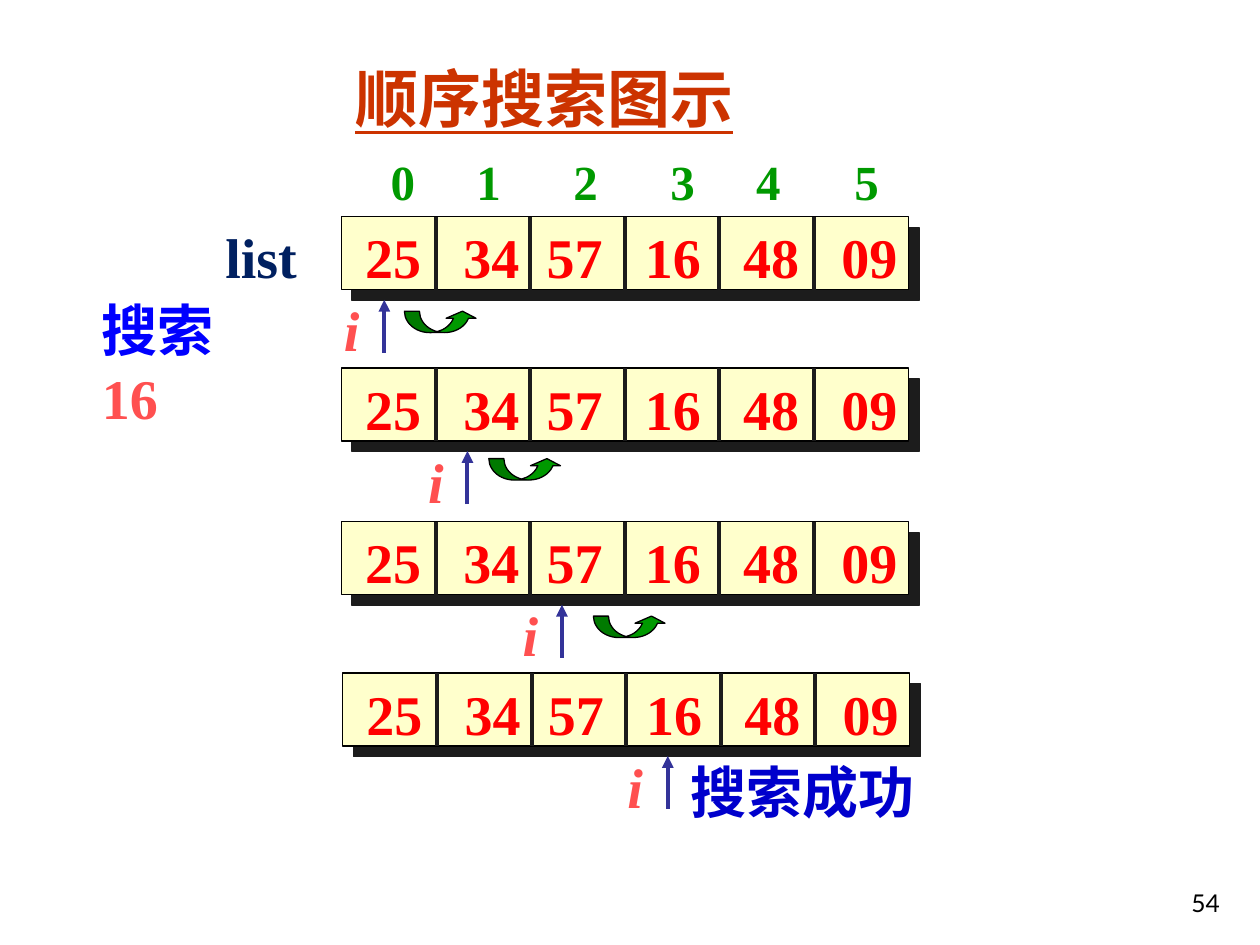
from dataclasses import dataclass

from lxml.etree import SubElement
from pptx import Presentation
from pptx.dml.color import RGBColor
from pptx.enum.shapes import MSO_CONNECTOR as Conn, MSO_SHAPE as Kind
from pptx.enum.text import MSO_ANCHOR as Anchor, PP_ALIGN as Align
from pptx.oxml.ns import qn
from pptx.util import Inches, Pt

SERIF = "Times New Roman"
RED, CORAL, GREEN, INK = "FF0000", "FF5050", "009900", "1C1C1C"
CELL, HIGH, COUNT = 0.75, 0.58, 6
VALUES = "25\t34\t57\t16\t48\t09"
STOPS = (0.78, 1.44, 2.22, 3.0, 3.78)


@dataclass
class Step:
    """One pass of the search: its row, pointer and hop arrow."""
    left: float
    top: float
    mark: float
    point: float
    hop: tuple[float, float] | None = None


STEPS = [
    Step(2.71, 1.72, 2.63, 3.05, (3.21, 2.47)),
    Step(2.71, 2.92, 3.30, 3.71, (3.88, 3.64)),
    Step(2.71, 4.14, 4.05, 4.46, (4.71, 4.89)),
    Step(2.72, 5.34, 4.88, 5.30),
]


def tint(code: str) -> RGBColor:
    """Turn a hex string into a colour."""
    return RGBColor.from_string(code)


def style(run, color: str, size: float, font: str = SERIF, bold: bool = True) -> None:
    """Set the font of one run."""
    run.font.name, run.font.size, run.font.bold = font, Pt(size), bold
    run.font.color.rgb = tint(color)


def label(slide, text: str, left: float, top: float, width: float, *colors: str,
          size: float = 32, wrap: bool = True, stops: tuple = ()):
    """Add a bold text box, one colour per run, with optional tab stops."""
    box = slide.shapes.add_textbox(
        Inches(left), Inches(top), Inches(width), Inches(0.63))
    frame = box.text_frame
    frame.word_wrap = wrap
    para = frame.paragraphs[0]
    para.text = text
    for run, color in zip(para.runs, colors):
        style(run, color, size)
    props = para._p.get_or_add_pPr()
    gap = SubElement(props, qn("a:spcBef"))
    SubElement(gap, qn("a:spcPct"), val="20000")
    if stops:
        tabs = SubElement(props, qn("a:tabLst"))
        for stop in stops:
            SubElement(tabs, qn("a:tab"), pos=str(Inches(stop)), algn="l")
    return box


def line(slide, x: float, start: float, end: float, color: str, arrow: bool = False) -> None:
    """Draw an upright line, with an arrowhead at its end if asked."""
    rule = slide.shapes.add_connector(
        Conn.STRAIGHT, Inches(x), Inches(start), Inches(x), Inches(end))
    rule.line.color.rgb = tint(color)
    rule.line.width = Pt(2.25)
    if arrow:
        SubElement(rule.line._get_or_add_ln(), qn("a:tailEnd"), type="triangle")
    SubElement(rule._element.spPr, qn("a:effectLst"))


def block(slide, kind: Kind, left: float, top: float, width: float, high: float, fill: str):
    """Add a filled shape with a thin black outline."""
    shape = slide.shapes.add_shape(
        kind, Inches(left), Inches(top), Inches(width), Inches(high))
    shape.shadow.inherit = False
    shape.fill.solid()
    shape.fill.fore_color.rgb = tint(fill)
    shape.line.color.rgb = tint("000000")
    shape.line.width = Pt(0.75)
    return shape


def shade(shape) -> None:
    """Give a shape a hard shadow to the lower right."""
    effects = shape._element.spPr.find(qn("a:effectLst"))
    cast = SubElement(effects, qn("a:outerShdw"), dist=str(Pt(8.5)),
                      dir="2700000", algn="ctr", rotWithShape="0")
    SubElement(cast, qn("a:srgbClr"), val=INK)


def draw(slide, step: Step) -> None:
    """Draw one pass of the search."""
    base = step.top + HIGH
    shade(block(slide, Kind.RECTANGLE, step.left, step.top, CELL * COUNT, HIGH, "FFFFCC"))
    label(slide, VALUES, step.left + 0.09, step.top, 4.49, *[RED] * COUNT, stops=STOPS)
    for col in range(1, COUNT):
        line(slide, step.left + CELL * col, step.top, base, INK)
    line(slide, step.point, base + 0.5, base + 0.08, "333399", arrow=True)
    mark = label(slide, "i", step.mark, base, 0.32, CORAL, wrap=False)
    mark.text_frame.paragraphs[0].runs[0].font.italic = True
    if step.hop:
        hop = block(slide, Kind.CURVED_UP_ARROW, *step.hop, 0.58, 0.17, GREEN)
        for spot, value in enumerate((0.7, 1.4, 0.333)):
            hop.adjustments[spot] = value


def main() -> None:
    """Build the slide and save it."""
    deck = Presentation()
    deck.slide_width, deck.slide_height = Inches(10), Inches(7.5)
    slide = deck.slides.add_slide(deck.slide_layouts[5])

    title = slide.shapes.title
    title.left, title.top = Inches(2.72), Inches(0.36)
    title.width, title.height = Inches(4.67), Inches(0.83)
    title.text_frame.text = "顺序搜索图示"
    para = title.text_frame.paragraphs[0]
    para.alignment = Align.LEFT
    style(para.runs[0], "CC3300", 36)
    para.runs[0].font.underline = True

    index = label(slide, "\t".join(map(str, range(COUNT))), 2.8, 1.15, 4.52,
                  *[GREEN] * COUNT, size=28, stops=(0.68, 1.45, 2.22, 2.9, 3.68))
    index.text_frame.margin_left = Inches(0.3)
    label(slide, "list", 1.69, 1.72, 0.78, "002060", wrap=False)
    label(slide, "搜索\v16", 0.71, 2.3, 1.7, "0000FF", CORAL)
    for step in STEPS:
        draw(slide, step)
    label(slide, "搜索成功", 5.38, 5.96, 2.22, "0000CC")

    page = slide.shapes.add_textbox(Inches(7.7), Inches(6.83), Inches(2.08), Inches(0.5))
    frame = page.text_frame
    frame.word_wrap, frame.vertical_anchor = True, Anchor.BOTTOM
    frame.text = "54"
    frame.paragraphs[0].alignment = Align.RIGHT
    style(frame.paragraphs[0].runs[0], "000000", 14, "Lato", False)
    deck.save("out.pptx")


main()
